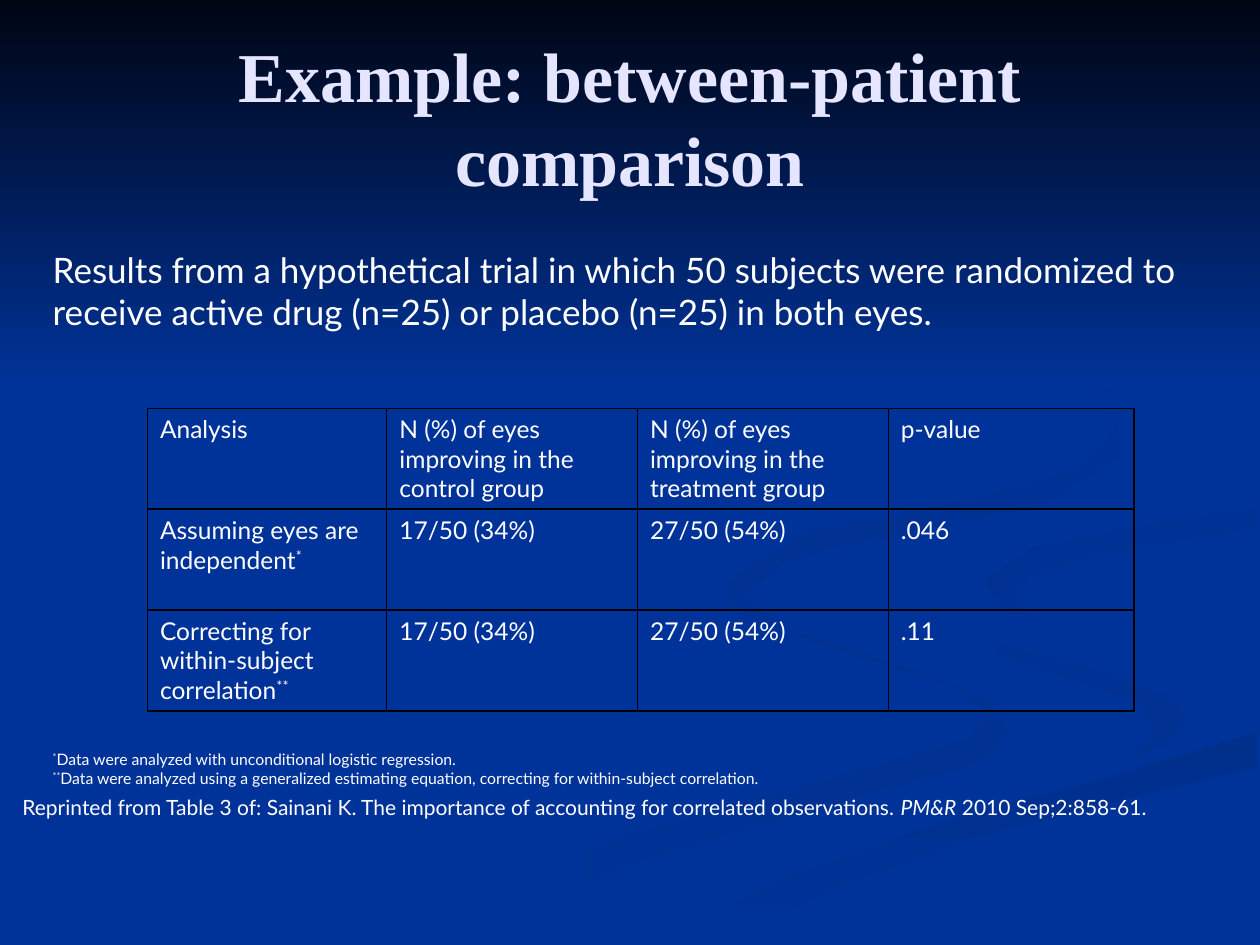
from dataclasses import dataclass

from lxml import etree
from pptx import Presentation
from pptx.dml.color import RGBColor
from pptx.enum.shapes import MSO_SHAPE
from pptx.enum.text import MSO_ANCHOR, MSO_AUTO_SIZE, PP_ALIGN
from pptx.oxml.ns import qn
from pptx.util import Emu, Pt

PX = 9144  # 100 px to the inch
MIDDLE = MSO_ANCHOR.MIDDLE
CENTER = PP_ALIGN.CENTER
FIXED = MSO_AUTO_SIZE.NONE
RECTANGLE = MSO_SHAPE.RECTANGLE


@dataclass(frozen=True)
class Theme:
    background: str = "003399"
    sky: str = "000514"
    title: str = "E5E5FF"
    text: str = "FFFFFF"
    rule: str = "000000"
    title_font: str = "Times New Roman"
    body_font: str = "Lato"
    title_size: int = 40
    intro_size: int = 20
    table_size: int = 14
    source_size: int = 12
    note_size: int = 9


THEME = Theme()


@dataclass(frozen=True)
class Span:
    text: str
    raised: bool = False
    italic: bool = False


@dataclass(frozen=True)
class Caption:
    box: tuple[int, int, int, int]
    size: int
    paragraphs: list[list[Span]]
    wrap: bool = True


@dataclass(frozen=True)
class Ribbon:
    start: str
    end: str
    angle: int
    points: list[tuple[int, int]]


# Edges that neighbouring ribbons share
SWIRL = [(724, 464), (733, 483), (792, 509), (870, 530), (930, 553), (943, 570)]
STREAM = [(998, 581), (867, 620), (764, 647), (630, 693), (519, 747)]
HOOK = [(998, 402), (898, 418), (821, 434), (781, 460)]

RIBBONS = [
    Ribbon(THEME.background, "003193", 0, [
        (781, 553), (715, 528), (614, 496), (575, 459), (581, 484), (654, 513), (752, 543), (785, 566),
        (767, 587), (652, 620), (499, 661), (376, 707), (300, 749), (361, 749), (499, 687), (676, 634),
        (780, 605), (800, 581)]),
    Ribbon(THEME.background, "003193", 45, SWIRL + [
        (937, 586), (894, 605), (917, 580), (900, 557), (838, 536), (766, 512), (733, 488)]),
    Ribbon("002F8C", THEME.background, 90, STREAM + [
        (503, 749), (571, 749), (649, 710), (785, 661), (998, 609)]),
    Ribbon(THEME.background, THEME.background, 0, [
        *SWIRL, (926, 593), (780, 634), (619, 684), (477, 749), *reversed(STREAM),
        (998, 538), (866, 509), (791, 478), *reversed(HOOK), (998, 387), (851, 411), (755, 432)]),
    Ribbon("003091", THEME.background, 45, HOOK + [
        (791, 478), (826, 496), (805, 476), (816, 459), (878, 439), (998, 420)]),
    Ribbon("002F8E", THEME.background, 45, [
        (683, 430), (825, 402), (889, 362), (880, 307), (810, 256), (762, 233), (846, 279), (889, 335),
        (861, 370), (763, 398), (637, 423), (577, 462), (622, 500), (593, 470), (624, 444)]),
]

CAPTIONS = [
    Caption((32, 192, 999, 77), THEME.intro_size, [[Span(
        "Results from a hypothetical trial in which 50 subjects were randomized to "
        "receive active drug (n=25) or placebo (n=25) in both eyes.")]]),
    Caption((32, 590, 598, 40), THEME.note_size, [
        [Span("*", raised=True), Span("Data were analyzed with unconditional logistic regression.")],
        [Span("**", raised=True), Span("Data were analyzed using a generalized estimating equation, "
                                       "correcting for within-subject correlation.")],
    ], wrap=False),
    Caption((8, 626, 992, 30), THEME.source_size, [[
        Span("Reprinted from Table 3 of: Sainani K. The importance of accounting for correlated observations. "),
        Span("PM&R", italic=True), Span(" 2010 Sep;2:858-61.")]]),
]

TABLE_LEFT, TABLE_TOP, ROW_HEIGHT = 117, 324, 80
COLUMN_WIDTHS = [190, 199, 199, 195]
RULE_WIDTHS = [1, 1, 0.75, 1]  # horizontal rules, top to bottom
IMPROVING = [Span("N (%) of eyes improving in the")]
COUNTS = [[[Span("17/50 (34%)")]], [[Span("27/50 (54%)")]]]
TABLE_ROWS = [
    [[[Span("Analysis")]], [IMPROVING, [Span("control group")]],
     [IMPROVING, [Span("treatment group")]], [[Span("p-value")]]],
    [[[Span("Assuming eyes are independent"), Span("*", raised=True)]], *COUNTS, [[Span(".046")]]],
    [[[Span("Correcting for within-subject correlation"), Span("**", raised=True)]], *COUNTS, [[Span(".11")]]],
]


def scaled(lengths: tuple[int, ...]) -> list[Emu]:
    return [Emu(length * PX) for length in lengths]


def paint_gradient(shape, start: str, end: str, angle: int) -> None:
    """Fill without outline; the angle runs clockwise."""
    shape.shadow.inherit = False
    shape.line.fill.background()
    shape.fill.gradient()
    shape.fill.gradient_angle = (360 - angle) % 360
    for stop, color in zip(shape.fill.gradient_stops, (start, end)):
        stop.color.rgb = RGBColor.from_string(color)


def draw_ribbon(page, ribbon: Ribbon) -> None:
    builder = page.shapes.build_freeform(*ribbon.points[0], scale=PX)
    builder.add_line_segments(ribbon.points[1:], close=True)
    paint_gradient(builder.convert_to_shape(), ribbon.start, ribbon.end, ribbon.angle)


def write_paragraphs(frame, paragraphs: list[list[Span]], size: int) -> None:
    for index, spans in enumerate(paragraphs):
        para = frame.add_paragraph() if index else frame.paragraphs[0]
        for span in spans:
            run = para.add_run()
            run.text = span.text
            run.font.name, run.font.size = THEME.body_font, Pt(size)
            run.font.color.rgb = RGBColor.from_string(THEME.text)
            if span.italic:
                run.font.italic = True
            if span.raised:
                run.font._element.set("baseline", "30000")


def draw_caption(page, caption: Caption) -> None:
    frame = page.shapes.add_textbox(*scaled(caption.box)).text_frame
    frame.word_wrap = caption.wrap
    frame.vertical_anchor = MIDDLE
    write_paragraphs(frame, caption.paragraphs, caption.size)


def rule_cell(cell, top: float, bottom: float) -> None:
    properties = cell._tc.get_or_add_tcPr()
    sides = {"a:lnL": 0.75, "a:lnR": 0.75, "a:lnT": top, "a:lnB": bottom}
    for index, (tag, width) in enumerate(sides.items()):
        line = etree.Element(qn(tag), w=str(int(Pt(width))))
        fill = etree.SubElement(line, qn("a:solidFill"))
        etree.SubElement(fill, qn("a:srgbClr"), val=THEME.rule)
        properties.insert(index, line)


def draw_table(page) -> None:
    box = (TABLE_LEFT, TABLE_TOP, sum(COLUMN_WIDTHS), ROW_HEIGHT * len(TABLE_ROWS))
    table = page.shapes.add_table(len(TABLE_ROWS), len(COLUMN_WIDTHS), *scaled(box)).table
    table.first_row = table.horz_banding = False
    for column, width in zip(table.columns, COLUMN_WIDTHS):
        column.width = Emu(width * PX)
    for row_index, row in enumerate(TABLE_ROWS):
        for column_index, paragraphs in enumerate(row):
            cell = table.cell(row_index, column_index)
            cell.fill.background()
            rule_cell(cell, RULE_WIDTHS[row_index], RULE_WIDTHS[row_index + 1])
            write_paragraphs(cell.text_frame, paragraphs, THEME.table_size)


def draw_title(page) -> None:
    title = page.shapes.title
    page.shapes._spTree.append(title._element)  # in front of the backdrop
    title.left, title.top, title.width, title.height = scaled((50, 30, 900, 125))
    frame = title.text_frame
    frame.text = "Example: between-patient comparison"
    frame.auto_size, frame.vertical_anchor, frame.word_wrap = FIXED, MIDDLE, True
    para = frame.paragraphs[0]
    para.alignment = CENTER
    font = para.runs[0].font
    font.name, font.size, font.bold = THEME.title_font, Pt(THEME.title_size), True
    font.color.rgb = RGBColor.from_string(THEME.title)


def main() -> None:
    deck = Presentation()
    deck.slide_width, deck.slide_height = scaled((1000, 750))
    page = deck.slides.add_slide(deck.slide_layouts[5])
    page.background.fill.solid()
    page.background.fill.fore_color.rgb = RGBColor.from_string(THEME.background)
    for ribbon in RIBBONS:
        draw_ribbon(page, ribbon)
    sky = page.shapes.add_shape(RECTANGLE, *scaled((0, 0, 1000, 308)))
    paint_gradient(sky, THEME.sky, THEME.background, 90)
    draw_title(page)
    draw_table(page)
    for caption in CAPTIONS:
        draw_caption(page, caption)
    deck.save("out.pptx")


if __name__ == "__main__":
    main()
